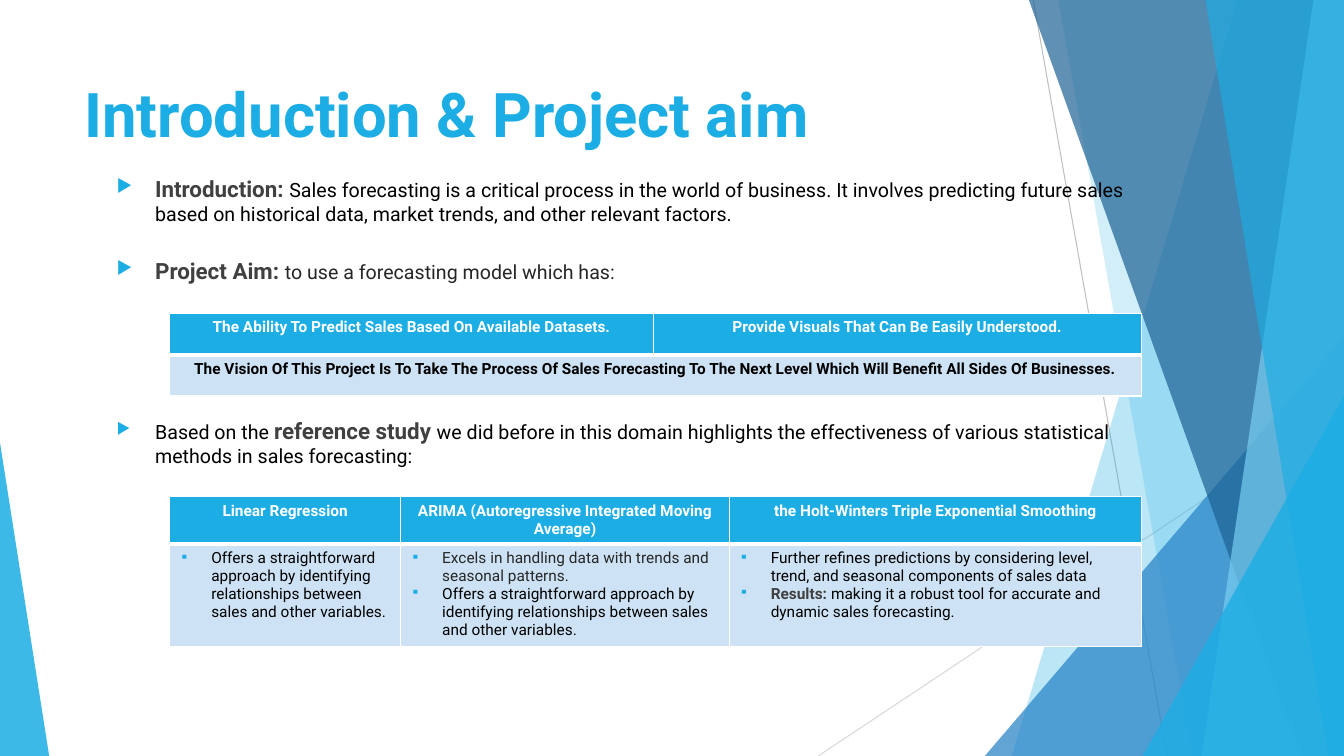
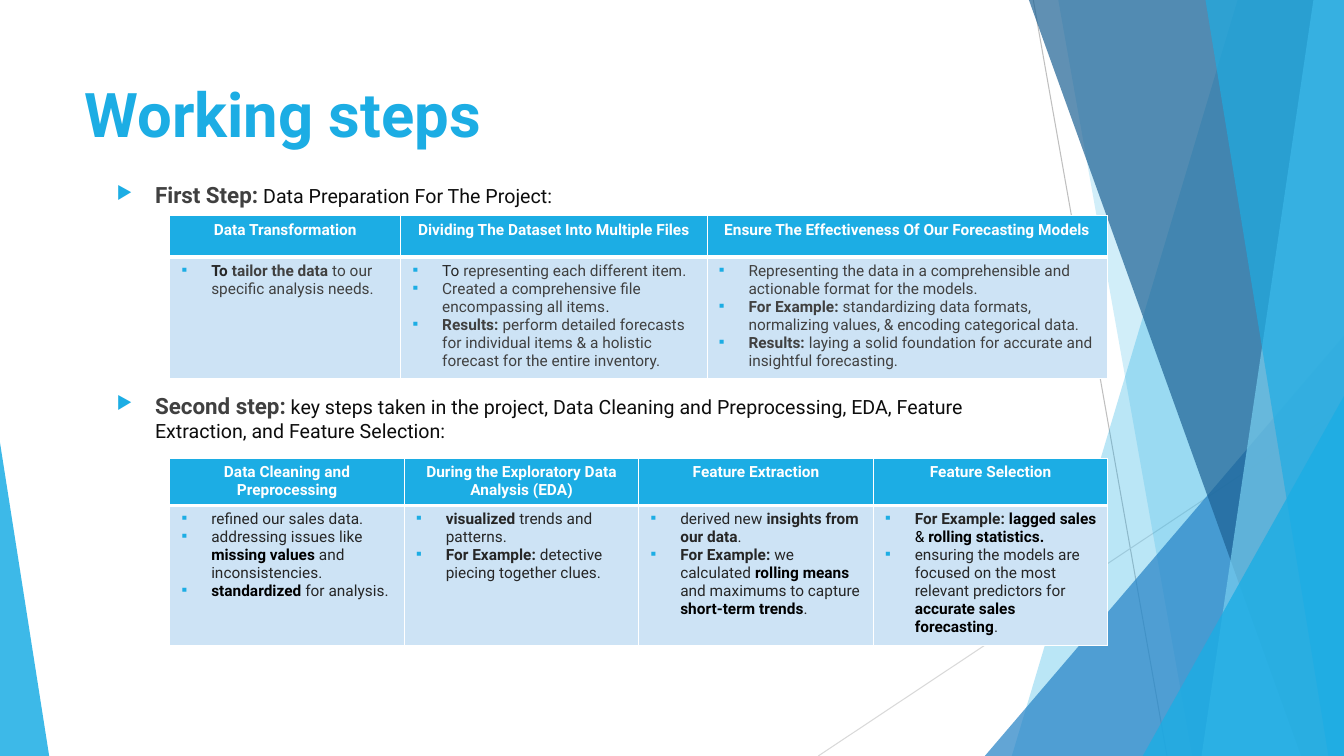
from lxml import etree
from pptx import Presentation
from pptx.dml.color import RGBColor
from pptx.enum.shapes import MSO_CONNECTOR, MSO_SHAPE
from pptx.enum.text import PP_ALIGN
from pptx.oxml.ns import qn
from pptx.util import Cm, Pt

STRAIGHT = MSO_CONNECTOR.STRAIGHT
TRIANGLE = MSO_SHAPE.ISOSCELES_TRIANGLE
CENTER = PP_ALIGN.CENTER
LEFT = PP_ALIGN.LEFT

WIDE, HIGH = 33.87, 19.05
FONT = "Roboto"
HUES = {
    "main": "1CADE4", "blue": "2683C6", "navy": "1D6294", "sky": "77CEEF",
    "pale": "CDE3F5", "white": "FFFFFF", "black": "000000", "ink": "0D0D0D",
    "dark": "262626", "mid": "404040", "gray": "BFBFBF", "mist": "D9D9D9",
}
LINES = [(26.04, 0, 29.41, HIGH, "gray"), (WIDE, 10.24, 20.62, HIGH, "mist")]
BACK = [(31.19, 25.5, "main", 30), (26.67, 30.05, "main", 20)]
FRONT = [(25.93, 32.79, "navy", 70), (33.1, 30.28, "sky", 70),
         (30.38, 33.48, "main", 65)]


def rgb(hue):
    return RGBColor.from_string(HUES[hue])


def add(node, tag, **attrs):
    return etree.SubElement(node, qn(tag), attrs)


class Deck:
    def __init__(self):
        self.prs = Presentation()
        self.prs.slide_width = Cm(WIDE)
        self.prs.slide_height = Cm(HIGH)
        self.shapes = None

    def slide(self, title):
        layout = self.prs.slide_layouts[6]
        self.shapes = self.prs.slides.add_slide(layout).shapes
        for line in LINES:
            self.line(*line)
        for band in BACK:
            self.band(*band)
        self.wedge(24.82, 8.46, WIDE - 24.82, 1, "blue", 72)
        for band in FRONT:
            self.band(*band)
        self.wedge(28.8, 9.98, WIDE - 28.8, 1, "main", 80)
        self.wedge(0, 11.15, 1.24, 0, "main", 85)
        frame = self.box(1.88, 1.78, 23.88, 2.2)
        self.text(frame.paragraphs[0], [(title, "main", True)], 44, 44)

    def line(self, x1, y1, x2, y2, hue):
        line = self.shapes.add_connector(
            STRAIGHT, Cm(x1), Cm(y1), Cm(x2), Cm(y2))
        line.line.color.rgb = rgb(hue)
        line.line.width = Pt(0.75)
        add(line.element.spPr, "a:effectLst")

    def paint(self, shape, hue, alpha):
        shape.shadow.inherit = False
        shape.fill.solid()
        shape.fill.fore_color.rgb = rgb(hue)
        shape.line.fill.background()
        color = shape.element.spPr.find(qn("a:solidFill"))[0]
        add(color, "a:alpha", val=str(alpha * 1000))

    def band(self, top, foot, hue, alpha):
        pen = self.shapes.build_freeform(Cm(top), 0)
        spots = [(WIDE, 0), (WIDE, HIGH), (foot, HIGH)]
        pen.add_line_segments([(Cm(x), Cm(y)) for x, y in spots])
        self.paint(pen.convert_to_shape(), hue, alpha)

    def wedge(self, left, top, width, peak, hue, alpha):
        shape = self.shapes.add_shape(
            TRIANGLE, Cm(left), Cm(top), Cm(width), Cm(HIGH - top))
        shape.adjustments[0] = peak
        self.paint(shape, hue, alpha)

    def box(self, left, top, width, height):
        frame = self.shapes.add_textbox(
            Cm(left), Cm(top), Cm(width), Cm(height)).text_frame
        frame.word_wrap = True
        return frame

    def style(self, font, hue, bold):
        font.color.rgb = rgb(hue)
        font.bold = bold

    def text(self, par, runs, size, big):
        par.font.name = FONT
        looks = {run[1:] for run in runs}
        if len(looks) == 1:
            self.style(par.font, *runs[0][1:])
        if size == big:
            par.font.size = Pt(size)
        for words, hue, bold in runs:
            run = par.add_run()
            run.text = words
            if len(looks) > 1:
                self.style(run.font, hue, bold)
            if size != big:
                run.font.size = Pt(big if bold else size)

    def bullet(self, par, char, indent):
        props = par._p.get_or_add_pPr()
        props.set("marL", str(Cm(indent)))
        props.set("indent", str(-Cm(indent)))
        color = add(props, "a:buClr")
        add(color, "a:srgbClr", val=HUES["main"])
        add(props, "a:buSzPct", val="80000")
        add(props, "a:buChar", char=char)

    def point(self, top, width, *runs):
        par = self.box(2.69, top, width, 1.5).paragraphs[0]
        self.bullet(par, "▶", 0.97)
        self.text(par, runs, 14, 16)

    def cell(self, cell, pars, fill, foot, mark):
        props = cell._tc.get_or_add_tcPr()
        for side, width in (("L", 1), ("R", 1), ("T", 1), ("B", foot)):
            edge = add(props, "a:ln" + side, w=str(Pt(width)))
            add(add(edge, "a:solidFill"), "a:srgbClr", val=HUES["white"])
        cell.fill.solid()
        cell.fill.fore_color.rgb = rgb(fill)
        frame = cell.text_frame
        for i, runs in enumerate(pars):
            par = frame.add_paragraph() if i else frame.paragraphs[0]
            par.alignment = LEFT if mark else CENTER
            if mark:
                self.bullet(par, "▪", 0.79)
            self.text(par, runs, 11, 11)

    def table(self, top, cols, rows, heads, cells):
        table = self.shapes.add_table(
            2, len(cols), Cm(4.28), Cm(top), Cm(sum(cols)),
            Cm(sum(rows))).table
        table.horz_banding = False
        for col, width in zip(table.columns, cols):
            col.width = Cm(width)
        for row, height in zip(table.rows, rows):
            row.height = Cm(height)
        for i, head in enumerate(heads):
            self.cell(table.cell(0, i), [[(head, "white", True)]],
                      "main", 3, False)
        mark = len(cells) == len(cols)
        if not mark:
            table.cell(1, 0).merge(table.cell(1, len(cols) - 1))
        for i, pars in enumerate(cells):
            self.cell(table.cell(1, i), pars, "pale", 1, mark)


def black(text, bold=False):
    return text, "black", bold


def dark(text, bold=False):
    return text, "dark", bold


def mid(text, bold=False):
    return text, "mid", bold


def intro(deck):
    deck.slide("Introduction & Project aim")
    width = 27.23
    deck.point(4.29, width, mid("Introduction: ", True), black(
        "Sales forecasting is a critical process in the world of business. "
        "It involves predicting future sales based on historical data, "
        "market trends, and other relevant factors."))
    deck.point(6.35, width, mid("Project Aim: ", True),
               dark("to use a forecasting model which has:"))
    deck.table(7.9, [12.19, 12.29], [1.04, 1.04], [
        "The Ability To Predict Sales Based On Available Datasets.",
        "Provide Visuals That Can Be Easily Understood.",
    ], [[[black(
        "The Vision Of This Project Is To Take The Process Of Sales "
        "Forecasting To The Next Level Which Will Benefit All Sides Of "
        "Businesses.", True)]]])
    deck.point(10.39, width, black("Based on the "),
               mid("reference study ", True), black(
        "we did before in this domain highlights the effectiveness of "
        "various statistical methods in sales forecasting:"))
    offer = [black("Offers a straightforward approach by identifying "
                   "relationships between sales and other variables.")]
    deck.table(12.52, [5.82, 8.28, 10.39], [1.19, 2.57], [
        "Linear Regression",
        "ARIMA (Autoregressive Integrated Moving Average)",
        "the Holt-Winters Triple Exponential Smoothing",
    ], [
        [offer],
        [[dark("Excels in handling data with trends and seasonal "
               "patterns.")], offer],
        [[black("Further refines predictions by considering level, trend, "
                "and seasonal components of sales data")],
         [mid("Results:", True),
          black(" making it a robust tool for accurate and dynamic sales "
                "forecasting.")]],
    ])


def steps(deck):
    deck.slide("Working steps")
    width = 23.88
    deck.point(4.45, width, mid("First Step:", True),
               (" Data Preparation For The Project:", "ink", False))
    deck.table(5.44, [5.82, 7.72, 10.08], [1.04, 2.97], [
        "Data Transformation",
        "Dividing The Dataset Into Multiple Files",
        "Ensure The Effectiveness Of Our Forecasting Models",
    ], [
        [[dark("To ", True), mid("tailor the data ", True),
          mid("to our specific analysis needs.")]],
        [[dark("To "), mid("representing each different item.")],
         [mid("Created a comprehensive file encompassing all items"),
          dark(".")],
         [mid("Results: ", True),
          mid("perform detailed forecasts for individual items & a holistic "
              "forecast for the entire inventory.")]],
        [[mid("Representing the data in a comprehensible and actionable "
              "format for the models.")],
         [mid("For Example: ", True),
          mid("standardizing data formats, normalizing values, & encoding "
              "categorical data.")],
         [mid("Results: ", True),
          mid("laying a solid foundation for accurate and insightful "
              "forecasting.")]],
    ])
    deck.point(9.75, width, mid("Second step:", True), (
        " key steps taken in the project, Data Cleaning and Preprocessing, "
        "EDA, Feature Extraction, and Feature Selection:", "ink", False))
    deck.table(11.55, [5.91] * 4, [1.19, 3.43], [
        "Data Cleaning and Preprocessing",
        "During the Exploratory Data Analysis (EDA)",
        "Feature Extraction",
        "Feature Selection",
    ], [
        [[dark("refined our sales data.")],
         [dark("addressing issues like "), black("missing values ", True),
          dark("and inconsistencies.")],
         [black("standardized ", True), dark("for analysis.")]],
        [[dark("visualized", True), dark(" trends and patterns.")],
         [dark("For Example:", True),
          dark(" detective piecing together clues.")]],
        [[dark("derived new "), dark("insights from our data", True),
          dark(".")],
         [dark("For Example:", True), dark(" we calculated "),
          black("rolling means ", True), dark("and maximums to capture "),
          black("short-term trends", True), dark(".")]],
        [[dark("For Example: ", True), black("lagged sales ", True),
          black("& "), black("rolling statistics.", True)],
         [dark("ensuring the models are focused on the most relevant "
               "predictors for "),
          black("accurate sales forecasting", True), dark(".")]],
    ])


def main():
    deck = Deck()
    intro(deck)
    steps(deck)
    deck.prs.save("out.pptx")


if __name__ == "__main__":
    main()
